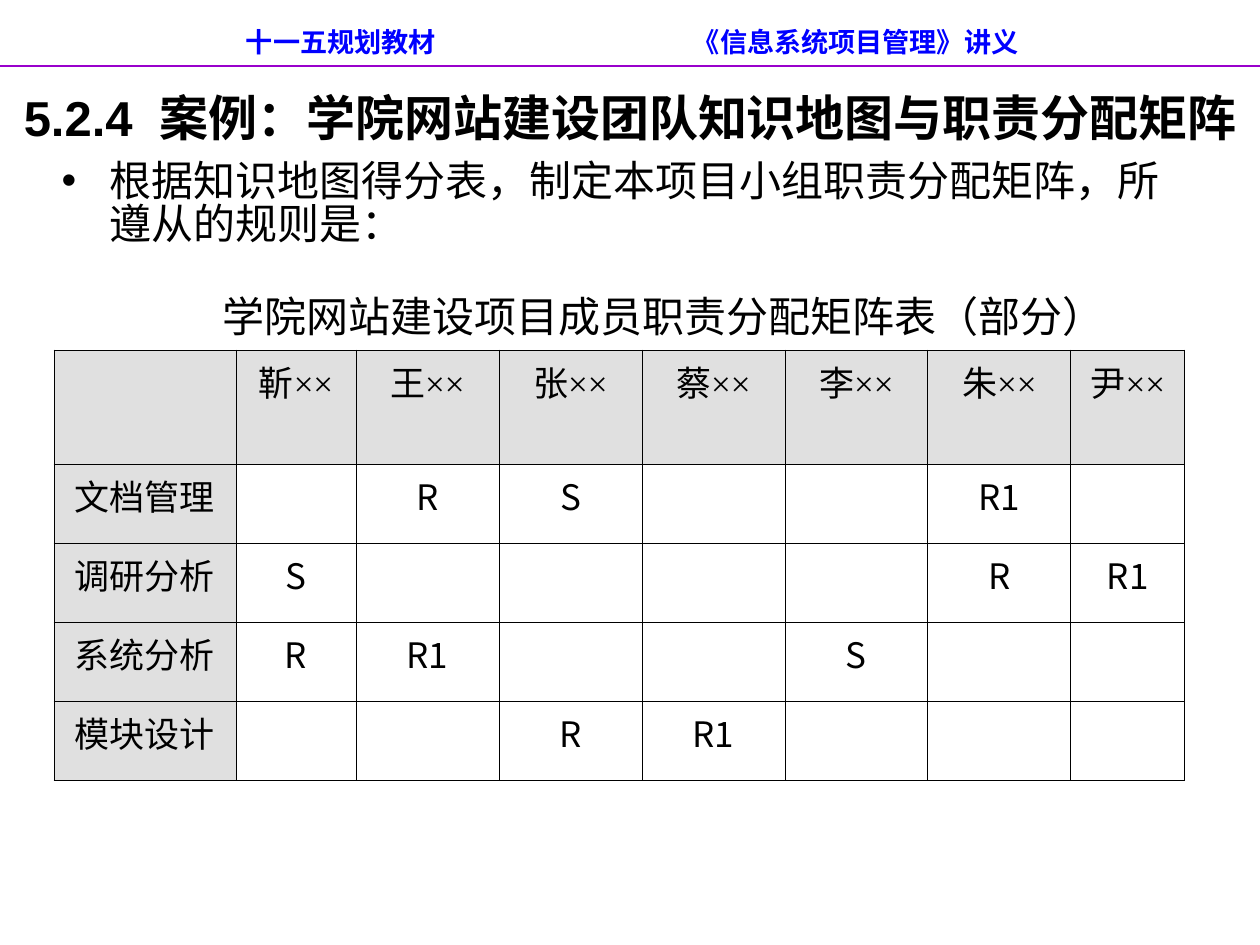
from dataclasses import dataclass
from lxml import etree
from pptx import Presentation
from pptx.dml.color import RGBColor
from pptx.enum.shapes import MSO_CONNECTOR
from pptx.enum.text import MSO_ANCHOR, PP_ALIGN
from pptx.oxml.ns import qn
from pptx.util import Emu, Pt

MID = MSO_ANCHOR.MIDDLE
TOP = MSO_ANCHOR.TOP
MIDDLE = PP_ALIGN.CENTER
LEFT = PP_ALIGN.LEFT
LINE = MSO_CONNECTOR.STRAIGHT


@dataclass(frozen=True)
class Theme:
    ink: str = "000000"
    blue: str = "0000FF"
    rule: str = "9900CC"
    shade: str = "E0E0E0"
    sans: str = "Arial"
    han: str = "Noto Sans CJK SC"
    serif: str = "Times New Roman"
    title: float = 28
    body: float = 24
    cell: float = 20
    head: float = 15.5
    edge: float = 0.45


def px(n):
    return Emu(round(n * 914400 / 126))


def style(run, size, face, east, tint=Theme.ink, bold=False):
    font = run.font
    font.size = Pt(size)
    font.bold = bold
    font.name = face
    font.color.rgb = RGBColor.from_string(tint)
    latin = run._r.get_or_add_rPr().find(qn("a:latin"))
    ea = etree.Element(qn("a:ea"), typeface=east)
    latin.addnext(ea)


theme = Theme()
deck = Presentation()
deck.slide_width, deck.slide_height = px(1260), px(945)
slide = deck.slides.add_slide(deck.slide_layouts[1])
shapes = slide.shapes

title = shapes.title
title.left, title.top, title.width, title.height = px(0), px(38), px(1260), px(158)
frame = title.text_frame
frame.margin_left = frame.margin_right = 0
frame.vertical_anchor = MID
frame.text = "5.2.4  案例：学院网站建设团队知识地图与职责分配矩阵"
para = frame.paragraphs[0]
para.alignment = MIDDLE
style(para.runs[0], theme.title, theme.sans, theme.han, bold=True)

body = slide.placeholders[1]
body.left, body.top, body.width, body.height = px(49), px(156), px(1152), px(624)
frame = body.text_frame
frame.vertical_anchor = TOP
frame.text = "根据知识地图得分表，制定本项目小组职责分配矩阵，所遵从的规则是："
para = frame.paragraphs[0]
para.alignment = LEFT
para.line_spacing = 0.85
para.space_before = Pt(0)
props = para._p.get_or_add_pPr()
props.set("marL", str(px(48)))
props.set("indent", str(px(-48)))
etree.SubElement(props, qn("a:buFont"), typeface=theme.sans)
etree.SubElement(props, qn("a:buChar"), char="•")
style(para.runs[0], theme.body, theme.sans, theme.han)

rule = shapes.add_connector(LINE, px(0), px(66), px(1260), px(66))
rule.line.color.rgb = RGBColor.from_string(theme.rule)
rule.line.width = Pt(0.75)
etree.SubElement(rule._element.spPr, qn("a:effectLst"))

label = shapes.add_textbox(px(210), px(284), px(907), px(63))
frame = label.text_frame
frame.word_wrap = False
frame.vertical_anchor = MID
frame.text = "学院网站建设项目成员职责分配矩阵表（部分）"
para = frame.paragraphs[0]
para.alignment = MIDDLE
style(para.runs[0], theme.body, theme.han, theme.han)

names = ["靳", "王", "张", "蔡", "李", "朱", "尹"]
tasks = [
    ["文档管理", "", "R", "S", "", "", "R1", ""],
    ["调研分析", "S", "", "", "", "", "R", "R1"],
    ["系统分析", "R", "R1", "", "", "S", "", ""],
    ["模块设计", "", "", "R", "R1", "", "", ""],
]
rows = [[""] + names] + tasks
wide = [182, 120] + [143] * 5 + [114]
high = [114] + [79] * 4
table = shapes.add_table(len(rows), len(wide), px(54), px(350), px(sum(wide)), px(sum(high))).table
table.first_row = table.horz_banding = False
for col, size in zip(table.columns, wide):
    col.width = px(size)
for row, size in zip(table.rows, high):
    row.height = px(size)

for r, row in enumerate(rows):
    for c, word in enumerate(row):
        cell = table.cell(r, c)
        cell.margin_left = cell.margin_right = px(13)
        cell.margin_top = cell.margin_bottom = px(6)
        props = cell._tc.get_or_add_tcPr()
        for side in ("lnL", "lnR", "lnT", "lnB"):
            edge = etree.SubElement(props, qn("a:" + side), w=str(Pt(theme.edge)))
            fill = etree.SubElement(edge, qn("a:solidFill"))
            etree.SubElement(fill, qn("a:srgbClr"), val=theme.ink)
        if r == 0 or c == 0:
            cell.fill.solid()
            cell.fill.fore_color.rgb = RGBColor.from_string(theme.shade)
        else:
            cell.fill.background()
        para = cell.text_frame.paragraphs[0]
        para.alignment = MIDDLE
        para.font.size = Pt(theme.cell)
        if word:
            run = para.add_run()
            run.text = word
            style(run, theme.cell, theme.han, theme.han)
        if word and r == 0:
            run = para.add_run()
            run.text = "××"
            style(run, theme.cell, theme.serif, theme.serif)

head = shapes.add_textbox(px(64), px(18), px(1134), px(48))
frame = head.text_frame
frame.word_wrap = True
frame.vertical_anchor = MID
frame.margin_left = px(182)
frame.text = "十一五规划教材\t《信息系统项目管理》讲义"
para = frame.paragraphs[0]
para.alignment = LEFT
tabs = etree.SubElement(para._p.get_or_add_pPr(), qn("a:tabLst"))
etree.SubElement(tabs, qn("a:tab"), pos=str(px(447)), algn="l")
style(para.runs[0], theme.head, theme.sans, theme.han, theme.blue, True)

deck.save("out.pptx")
